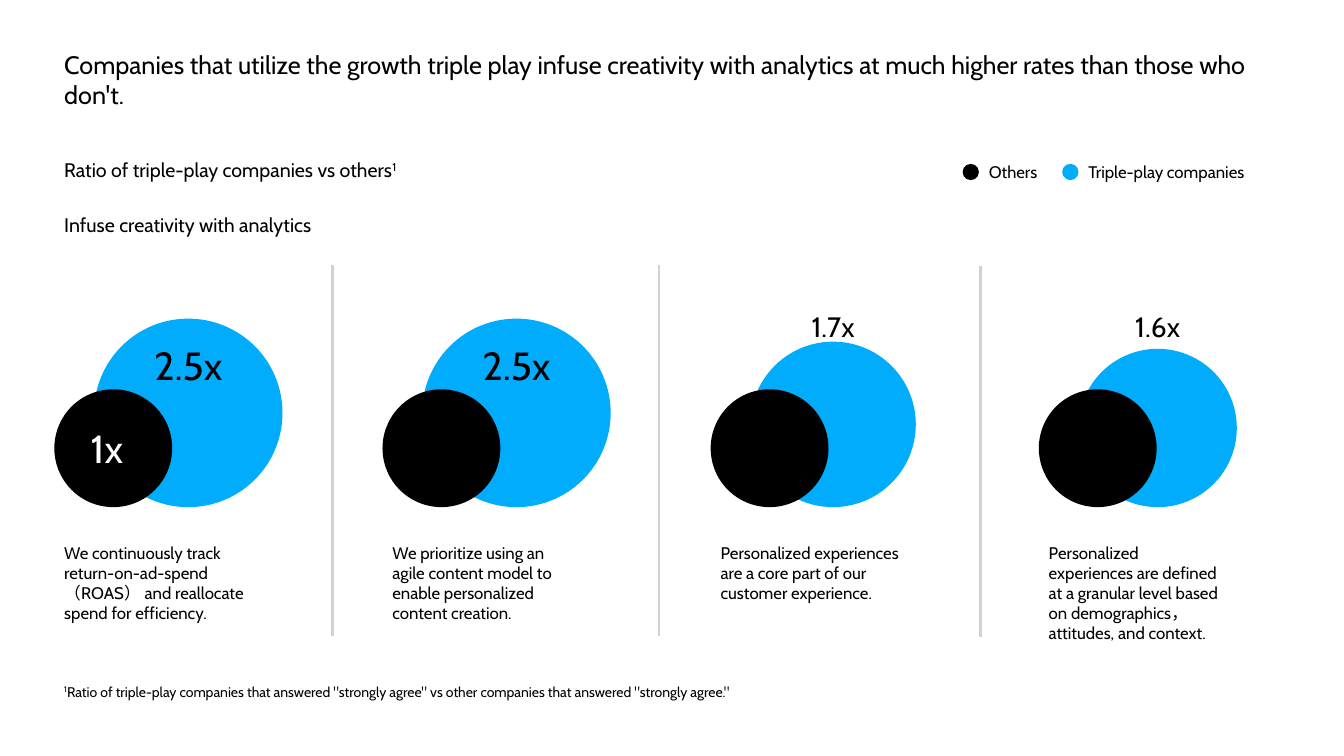
from lxml import etree
from pptx import Presentation
from pptx.dml.color import RGBColor
from pptx.enum.shapes import MSO_CONNECTOR, MSO_SHAPE
from pptx.enum.text import MSO_AUTO_SIZE, PP_ALIGN
from pptx.oxml.ns import qn
from pptx.util import Cm, Pt

OVAL = MSO_SHAPE.OVAL
STRAIGHT = MSO_CONNECTOR.STRAIGHT
FIT = MSO_AUTO_SIZE.SHAPE_TO_FIT_TEXT
LEFT, CENTER = PP_ALIGN.LEFT, PP_ALIGN.CENTER

BLACK = RGBColor(0x00, 0x00, 0x00)
WHITE = RGBColor(0xFF, 0xFF, 0xFF)
BLUE = RGBColor(0x00, 0xAC, 0xFB)
GREY = RGBColor(0xD1, 0xD1, 0xD1)

MARGIN = 1.37
PITCH = 8.27
BASELINE = 12.78
OTHERS_SIZE = 2.97
BLUE_OFFSET = 1.0

# ratio, blue circle diameter, whether the ratio sits inside it, text width, text lines
COLUMNS = [
    ("2.5x", 4.75, True, 5.38,
     ["We continuously track", "return-on-ad-spend",
      "（ROAS） and reallocate", "spend for efficiency."]),
    ("2.5x", 4.75, True, 4.93,
     ["We prioritize using an", "agile content model to",
      "enable personalized", "content creation."]),
    ("1.7x", 4.17, False, 5.44,
     ["Personalized experiences", "are a core part of our",
      "customer experience."]),
    ("1.6x", 3.99, False, 5.31,
     ["Personalized", "experiences are defined", "at a granular level based",
      "on demographics，", "attitudes, and context."]),
]
DIVIDERS = [(8.38, 6.68), (16.61, 6.68), (24.71, 6.71)]
LEGEND = [(24.26, "Others", 1.83, BLACK),
          (26.77, "Triple-play companies", 4.85, BLUE)]


def add_text(s, x, y, w, h, lines, size, color=BLACK, align=LEFT, wrap=False):
    """Each line is a string or a list of (text, is_superscript) runs."""
    tf = s.shapes.add_textbox(Cm(x), Cm(y), Cm(w), Cm(h)).text_frame
    tf.word_wrap = wrap
    tf.auto_size = FIT
    for i, line in enumerate(lines):
        p = tf.paragraphs[0] if i == 0 else tf.add_paragraph()
        p.alignment = align
        for text, superscript in [(line, False)] if isinstance(line, str) else line:
            r = p.add_run()
            r.text = text
            for name, value in {"name": "Cabin", "size": Pt(size)}.items():
                setattr(r.font, name, value)
            r.font.color.rgb = color
            if superscript:
                r._r.get_or_add_rPr().set("baseline", "30000")


def add_circle(s, x, y, size, color):
    circle = s.shapes.add_shape(OVAL, Cm(x), Cm(y), Cm(size), Cm(size))
    circle.shadow.inherit = False
    circle.fill.solid()
    circle.fill.fore_color.rgb = color
    circle.line.fill.background()


def add_divider(s, x, y):
    line = s.shapes.add_connector(STRAIGHT, Cm(x), Cm(y), Cm(x), Cm(y + 9.35))
    line.line.color.rgb = GREY
    line.line.width = Pt(1.5)
    etree.SubElement(line._element.spPr, qn("a:effectLst"))


def add_column(s, x, ratio, size, inside, width, lines):
    add_circle(s, x + BLUE_OFFSET, BASELINE - size, size, BLUE)
    add_circle(s, x, BASELINE - OTHERS_SIZE, OTHERS_SIZE, BLACK)
    y, w, h, points = (8.48, 2.39, 1.45, 28) if inside else (7.67, 1.85, 1.12, 20)
    center = x + BLUE_OFFSET + size / 2
    add_text(s, center - w / 2, y, w, h, [ratio], points, align=CENTER)
    add_text(s, x, 13.54, width, 0.25 + 0.52 * len(lines), lines, 12)


def add_legend_item(s, x, label, width, color):
    add_circle(s, x, 4.13, 0.41, color)
    add_text(s, x + 0.41, 3.94, width, 0.76, [label], 12)


def main():
    prs = Presentation()
    prs.slide_width, prs.slide_height = Cm(33.87), Cm(19.05)
    s = prs.slides.add_slide(prs.slide_layouts[6])

    add_text(s, MARGIN, 1.12, 30.81, 1.8,
             ["Companies that utilize the growth triple play infuse creativity "
              "with analytics at much higher rates than those who don't."],
             18, wrap=True)
    add_text(s, MARGIN, 3.86, 9.88, 0.86,
             [[("Ratio of triple-play companies vs others", False), ("1", True)]], 14)
    add_text(s, MARGIN, 5.23, 7.37, 0.86, ["Infuse creativity with analytics"], 14)

    for i, column in enumerate(COLUMNS):
        add_column(s, MARGIN + i * PITCH, *column)
    add_text(s, 1.91, 10.57, 1.57, 1.45, ["1x"], 28, WHITE, CENTER)
    for x, y in DIVIDERS:
        add_divider(s, x, y)
    for item in LEGEND:
        add_legend_item(s, *item)

    add_text(s, MARGIN, 17.09, 19.18, 0.69,
             [[("1", True),
               ('Ratio of triple-play companies that answered "strongly agree" '
                'vs other companies that answered "strongly agree."', False)]], 10)
    prs.save("out.pptx")


if __name__ == "__main__":
    main()
